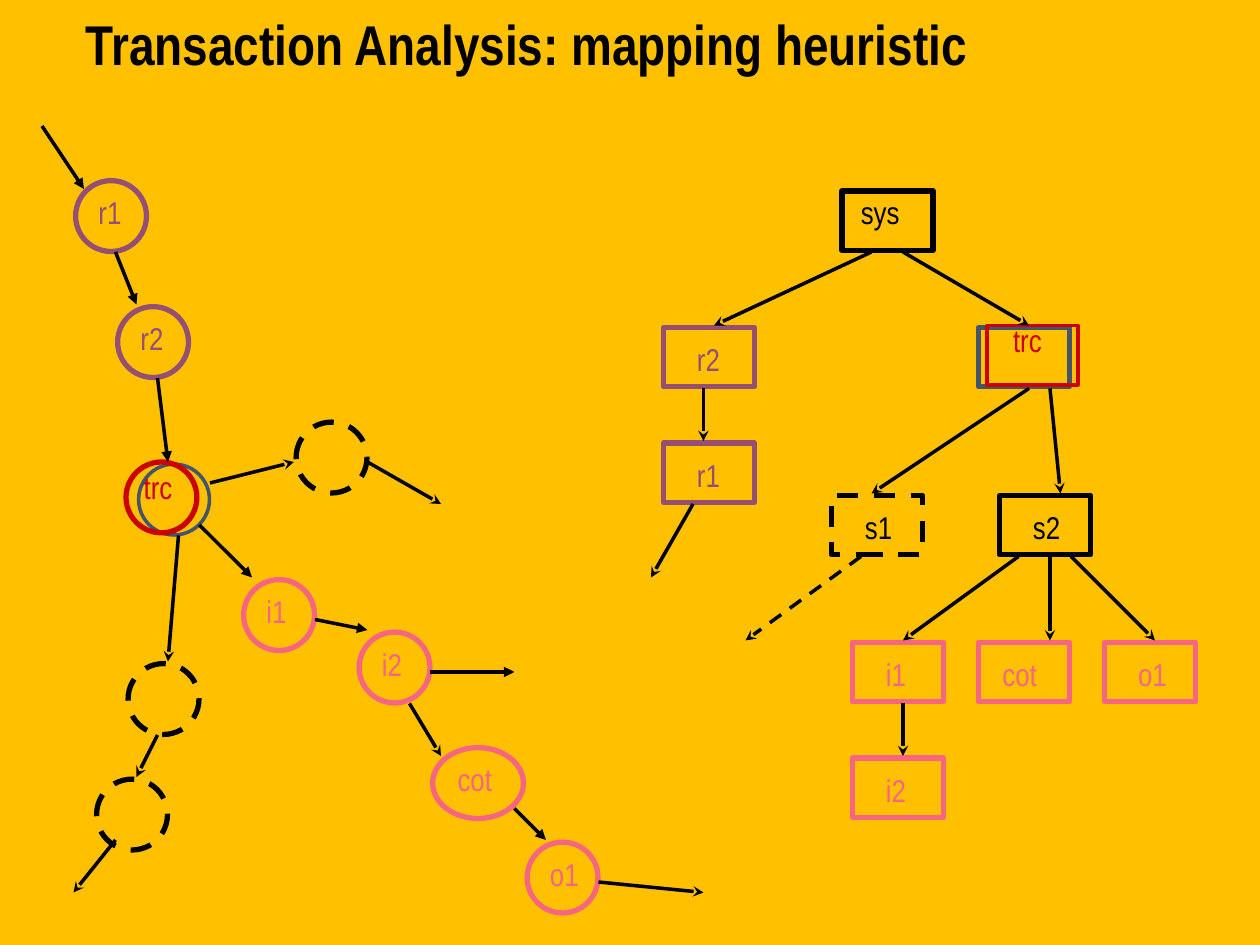
from lxml import etree
from pptx import Presentation
from pptx import util as u
from pptx.dml.color import RGBColor
from pptx.enum import dml, shapes, text
from pptx.oxml import ns

BLACK, PURPLE, PINK, RED, SLATE = "000000", "954F72", "F76681", "CC0000", "44546A"
OVAL, BOX = shapes.MSO_SHAPE.OVAL, shapes.MSO_SHAPE.RECTANGLE

deck = Presentation()
deck.slide_width, deck.slide_height = u.Inches(10), u.Inches(7.5)
UNIT = deck.slide_width / 120  # the slide is a grid of 120 columns and 90 rows
slide = deck.slides.add_slide(deck.slide_layouts[6])
slide.background.fill.solid()
slide.background.fill.fore_color.rgb = RGBColor.from_string("FFC000")


def grid(*lengths):
    return [round(length * UNIT) for length in lengths]


def style_line(line, color, width, dashed=False):
    line.color.rgb = RGBColor.from_string(color)
    line.width = u.Pt(width)
    if dashed:
        line.dash_style = dml.MSO_LINE.DASH


# kind, column, row, width, color, line width, dashed
nodes = [
    (OVAL, 7, 17, 6.75, PURPLE, 3, False),
    (OVAL, 11, 29, 6.75, PURPLE, 3, False),
    (OVAL, 13, 44, 6.75, SLATE, 2, False),
    (OVAL, 23, 55, 6.75, PINK, 3, False),
    (OVAL, 34, 60, 6.75, PINK, 3, False),
    (OVAL, 41, 71, 8.65, PINK, 3, False),
    (OVAL, 50, 80, 6.75, PINK, 3, False),
    (OVAL, 12, 63, 6.75, BLACK, 3, True),
    (OVAL, 9, 74, 6.75, BLACK, 3, True),
    (OVAL, 28, 40, 6.75, BLACK, 3, True),
    (BOX, 80, 18, 8.65, BLACK, 3, False),
    (BOX, 63, 31, 8.65, PURPLE, 3, False),
    (BOX, 63, 42, 8.65, PURPLE, 3, False),
    (BOX, 93, 31, 8.65, SLATE, 3, False),
    (BOX, 79, 47, 8.65, BLACK, 3, True),
    (BOX, 95, 47, 8.65, BLACK, 3, False),
    (BOX, 81, 61, 8.65, PINK, 3, False),
    (BOX, 93, 61, 8.65, PINK, 3, False),
    (BOX, 105, 61, 8.65, PINK, 3, False),
    (BOX, 81, 72, 8.65, PINK, 3, False),
    (OVAL, 11.8, 43.8, 6.75, RED, 3, False),
    (BOX, 93.8, 30.8, 8.65, RED, 2, False),
]
for kind, column, row, width, color, weight, dashed in nodes:
    height = 6.75 if kind == OVAL else 5.65
    node = slide.shapes.add_shape(kind, *grid(column + 0.2, row + 0.2, width, height))
    node.shadow.inherit = False
    node.fill.background()
    style_line(node.line, color, weight, dashed)

# words, column, row, width, color, size
labels = [
    ("Transaction Analysis: mapping heuristic", 7, 0.35, 93, BLACK, 32),
    ("r1", 8.2, 17.8, 4.6, PURPLE, 18),
    ("r2", 12.2, 29.8, 4.6, PURPLE, 18),
    ("trc", 12.5, 44, 5.2, RED, 18),
    ("i1", 24.2, 55.8, 4.3, PINK, 18),
    ("i2", 35.2, 60.8, 4.3, PINK, 18),
    ("cot", 42.4, 71.8, 5.8, PINK, 18),
    ("o1", 51.2, 80.8, 5.2, PINK, 18),
    ("sys", 80.8, 17.8, 13.2, BLACK, 18),
    ("r2", 65.2, 31.8, 4.6, PURPLE, 18),
    ("r1", 65.2, 42.8, 4.6, PURPLE, 18),
    ("trc", 95.3, 30, 5.2, RED, 18),
    ("s1", 81.2, 47.8, 5, BLACK, 18),
    ("s2", 97.2, 47.8, 5, BLACK, 18),
    ("i1", 83.2, 61.8, 4.3, PINK, 18),
    ("cot", 94.3, 61.8, 5.8, PINK, 18),
    ("o1", 107.2, 61.8, 5.2, PINK, 18),
    ("i2", 83.2, 72.8, 4.3, PINK, 18),
]
for words, column, row, width, color, size in labels:
    title = size == 32
    box = slide.shapes.add_textbox(*grid(column, row, width, 7.6 if title else 4.8))
    box.text_frame.word_wrap = title or words == "sys"
    box.text_frame.auto_size = text.MSO_AUTO_SIZE.SHAPE_TO_FIT_TEXT
    para = box.text_frame.paragraphs[0]
    para.text = words
    para.font.name = "Arial Narrow"
    para.font.size = u.Pt(size)
    para.font.bold = title
    para.font.color.rgb = RGBColor.from_string(color)

# arrowhead: start column, start row, end column, end row
arrows = {
    "triangle": [
        (4, 12, 8, 18), (11, 24, 13, 29), (15, 36, 16, 44), (19, 50, 24, 55),
        (30, 59, 35, 60), (41, 64, 49, 64), (49, 77, 52, 80),
    ],
    "stealth": [
        (57, 84, 67, 85), (17, 51, 16, 63), (15, 70, 13, 74), (11, 80, 7, 85),
        (39, 67, 42, 72), (20, 46, 28, 44), (35, 44, 42, 48),
        (67, 37, 67, 42), (83, 24, 68, 31), (86, 24, 98, 31), (66, 48, 62, 55),
        (98, 37, 83, 47), (100, 37, 101, 47), (97, 53, 86, 61), (100, 53, 100, 61),
        (102, 53, 110, 61), (86, 67, 86, 72), (82, 53, 71, 61),
    ],
}
DASHED_ARROW = (82, 53, 71, 61)
for head, routes in arrows.items():
    for route in routes:
        arrow = slide.shapes.add_connector(shapes.MSO_CONNECTOR.STRAIGHT, *grid(*route))
        style_line(arrow.line, BLACK, 2, route == DASHED_ARROW)
        etree.SubElement(arrow.line._get_or_add_ln(), ns.qn("a:tailEnd"), type=head)
        etree.SubElement(arrow._element.spPr, ns.qn("a:effectLst"))

deck.save("out.pptx")
